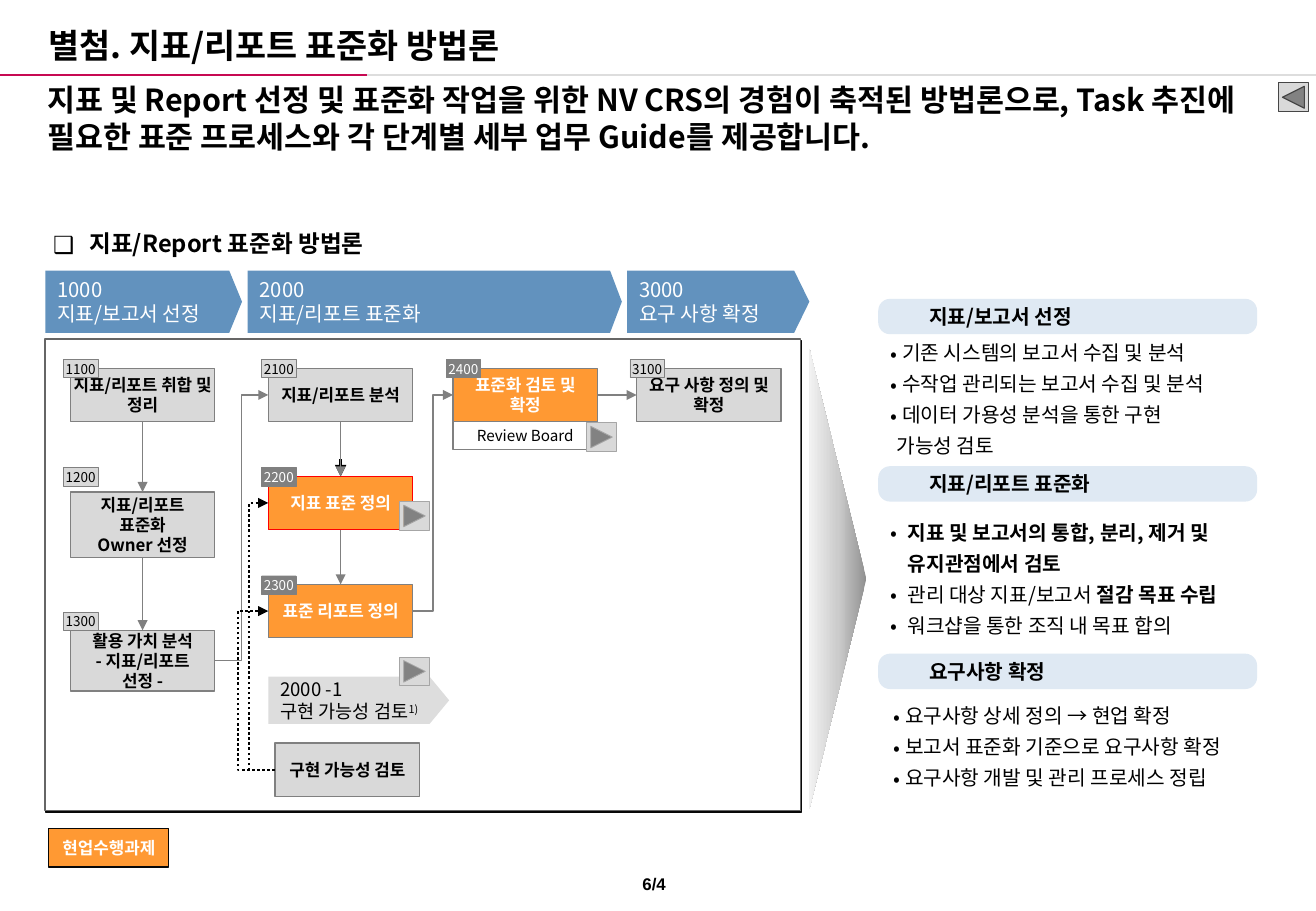
"""Build the slide on the indicator and report standardisation method."""
from copy import deepcopy

from lxml.etree import SubElement
from pptx import Presentation
from pptx.dml.color import RGBColor
from pptx.enum.dml import MSO_LINE
from pptx.enum.shapes import MSO_CONNECTOR, MSO_SHAPE
from pptx.enum.text import MSO_ANCHOR, MSO_AUTO_SIZE, PP_ALIGN
from pptx.oxml.ns import qn
from pptx.util import Cm, Pt

FONT = "Noto Sans CJK KR"
GRAY, MID, ORANGE, BLACK, WHITE = "D9D9D9", "808080", "FF9933", "000000", "FFFFFF"
rgb = RGBColor.from_string

prs = Presentation()
prs.slide_width, prs.slide_height = Cm(27.51), Cm(19.05)
slide = prs.slides.add_slide(prs.slide_layouts[5])
sp = slide.shapes


def box(kind, x, y, w, h, fill=None, line=None, width=0.75, adj=None):
    """Add a preset shape, or a text box when kind is None."""
    pos = Cm(x), Cm(y), Cm(w), Cm(h)
    if kind is None:
        return sp.add_textbox(*pos)
    s = sp.add_shape(kind, *pos)
    s.shadow.inherit = False
    if adj is not None:
        s.adjustments[0] = adj
    if fill:
        s.fill.solid()
        s.fill.fore_color.rgb = rgb(fill)
    if line:
        s.line.color.rgb = rgb(line)
        s.line.width = Pt(width)
    else:
        s.line.fill.background()
    return s


def write(s, lines, size, color=BLACK, bold=False, align=PP_ALIGN.LEFT,
          anchor=MSO_ANCHOR.MIDDLE, ins=(0.25, 0.13), wrap=True, font=FONT):
    """Fill a shape with paragraphs, each a string or a list of (text, bold) runs."""
    tf = s.text_frame
    tf.word_wrap, tf.auto_size, tf.vertical_anchor = wrap, MSO_AUTO_SIZE.NONE, anchor
    tf.margin_left = tf.margin_right = Cm(ins[0])
    tf.margin_top = tf.margin_bottom = Cm(ins[1])
    for i, line in enumerate(lines):
        p = tf.paragraphs[0] if i == 0 else tf.add_paragraph()
        p.alignment = align
        for text, strong in line if isinstance(line, list) else [(line, bold)]:
            r = p.add_run()
            r.text = text
            r.font.size, r.font.bold, r.font.name = Pt(size), strong, font
            r.font.color.rgb = rgb(color)
            SubElement(r.font._element, qn("a:ea")).set("typeface", font)
    return tf


title = sp.title
title.left, title.top, title.width, title.height = Cm(0.76), Cm(0.48), Cm(11.02), Cm(0.94)
write(title, ["별첨. 지표/리포트 표준화 방법론"], 20, bold=True)
write(box(None, 0.74, 1.57, 25.4, 1.73),
      ["지표 및 Report 선정 및 표준화 작업을 위한 NV CRS의 경험이 축적된 방법론으로, Task "
       "추진에 필요한 표준 프로세스와 각 단계별 세부 업무 Guide를 제공합니다."],
      18, bold=True, anchor=MSO_ANCHOR.TOP)
write(box(None, 12.85, 18.14, 1.65, 0.69), ["6/4"], 10, bold=True,
      align=PP_ALIGN.CENTER, anchor=MSO_ANCHOR.TOP, font="Arial")

tf = write(box(None, 0.86, 4.37, 7.44, 1.14), ["지표/Report 표준화 방법론"], 14,
           bold=True, anchor=MSO_ANCHOR.TOP, wrap=False)
p = tf.paragraphs[0]
p.line_spacing, p.space_after = 1.5, Pt(6)
pPr = p._p.get_or_add_pPr()
pPr.set("marL", str(Cm(0.76)))
pPr.set("indent", str(-Cm(0.76)))
SubElement(pPr, qn("a:buFont")).set("typeface", FONT)
SubElement(pPr, qn("a:buChar")).set("char", "❑")

for x, y, line in [(0.95, 7.12, "080808"), (0.94, 7.09, "666666")]:
    box(MSO_SHAPE.RECTANGLE, x, y, 15.8, 9.86, WHITE, line)

phases = [
    (0.95, 4.11, 0.205, ["1000", "지표/보고서 선정"]),
    (5.18, 7.82, 0.189, ["2000", "지표/리포트 표준화"]),
    (13.11, 3.81, 0.244, ["3000", "요구 사항 확정"]),
]
for x, w, adj, lines in phases:
    s = box(MSO_SHAPE.PENTAGON, x, 5.66, w, 1.3, "6292BE", adj=adj)
    write(s, lines, 12, WHITE, wrap=False)

steps = [
    ("1100", 1.47, 7.7, 1.12, 7.52, GRAY, ["지표/리포트 취합 및 정리"]),
    ("3100", 13.31, 7.7, 1.12, 7.52, GRAY, ["요구 사항 정의 및", "확정"]),
    ("2400", 9.47, 7.7, 1.12, 7.52, ORANGE, ["표준화 검토 및", "확정"]),
    ("2100", 5.61, 7.7, 1.12, 7.52, GRAY, ["지표/리포트 분석"]),
    ("1200", 1.47, 10.29, 1.37, 9.78, GRAY, ["지표/리포트", "표준화", "Owner 선정"]),
    ("2200", 5.61, 9.96, 1.12, 9.78, ORANGE, ["지표 표준 정의"]),
    ("1300", 1.47, 13.18, 1.27, 12.8, GRAY, ["활용 가치 분석", "- 지표/리포트", "선정 -"]),
    ("2300", 5.61, 12.22, 1.12, 12.04, ORANGE, ["표준 리포트 정의"]),
    ("", 5.75, 15.54, 1.12, None, GRAY, ["구현 가능성 검토"]),
]
boxes = {}
for code, x, y, h, tag_y, fill, lines in steps:
    color, tag_fill = (WHITE, MID) if fill == ORANGE else (BLACK, GRAY)
    s = box(MSO_SHAPE.RECTANGLE, x, y, 3.02, h, fill, "FF0000" if code == "2200" else MID)
    write(s, lines, 10, color, True, PP_ALIGN.CENTER, ins=(0, 0))
    boxes[code] = s
    if code:
        tag = box(MSO_SHAPE.RECTANGLE, x - 0.14, tag_y, 0.72, 0.38, tag_fill, MID, 0.25)
        write(tag, [code], 8, color, align=PP_ALIGN.CENTER, ins=(0, 0), wrap=False)

board = box(MSO_SHAPE.RECTANGLE, 9.47, 8.82, 3.02, 0.58, WHITE, MID)
write(board, ["Review Board"], 9, align=PP_ALIGN.CENTER, ins=(0, 0))
legend = box(MSO_SHAPE.RECTANGLE, 1.02, 17.32, 2.51, 0.81, ORANGE, "080808")
write(legend, ["현업수행과제"], 10, WHITE, True, PP_ALIGN.CENTER, ins=(0.1, 0.1))

check = box(MSO_SHAPE.PENTAGON, 5.61, 14.15, 3.78, 0.99, "DDDDDD", adj=0.414)
tf = write(check, ["2000 -1", [("구현 가능성 검토", False), ("1)", False)]], 11, wrap=False)
tf.paragraphs[1].runs[1].font._element.set("baseline", "30000")

connectors = []
for x1, x2, color in [(0, 7.67, "C70952"), (7.67, 27.51, "DDDDDD")]:
    c = sp.add_connector(MSO_CONNECTOR.STRAIGHT, Cm(x1), Cm(1.57), Cm(x2), Cm(1.57))
    c.line.color.rgb, c.line.width = rgb(color), Pt(1.5)
    connectors.append(c)

STRAIGHT, ELBOW = MSO_CONNECTOR.STRAIGHT, MSO_CONNECTOR.ELBOW
arrows = [
    (STRAIGHT, "1100", 2, "1200", 0, MID, 1, None),
    (STRAIGHT, "1200", 2, "1300", 0, MID, 1, None),
    (STRAIGHT, None, 2, "2200", 0, BLACK, 2.25, None),
    (STRAIGHT, "2100", 2, "2200", 0, MID, 1, None),
    (STRAIGHT, "2200", 2, "2300", 0, MID, 1, None),
    (STRAIGHT, "2400", 3, "3100", 1, MID, 1, None),
    (ELBOW, "2300", 3, "2400", 1, MID, 1, None),
    (ELBOW, "1300", 3, "2100", 1, MID, 1, None),
    (ELBOW, "", 1, "2300", 1, BLACK, 1.5, 4.98),
    (ELBOW, "", 1, "2200", 1, BLACK, 1.5, 5.21),
]
for kind, start, side, end, end_side, color, width, lane in arrows:
    c = sp.add_connector(kind, Cm(7.12), Cm(9.6), Cm(7.12), Cm(9.96))
    if start is not None:
        c.begin_connect(boxes[start], side)
    c.end_connect(boxes[end], end_side)
    c.line.color.rgb, c.line.width = rgb(color), Pt(width)
    if lane:
        c.line.dash_style = MSO_LINE.ROUND_DOT
        bend = round(100000 * (c.begin_x - Cm(lane)) / (c.begin_x - c.end_x))
        geom = c._element.spPr.find(qn("a:prstGeom"))
        gd = SubElement(geom.get_or_add_avLst(), qn("a:gd"))
        gd.set("name", "adj1")
        gd.set("fmla", f"val {bend}")
    SubElement(c.line._get_or_add_ln(), qn("a:tailEnd")).set("type", "triangle")
    connectors.append(c)
for c in connectors:
    SubElement(c._element.spPr, qn("a:effectLst"))

sections = [
    (6.25, "지표/보고서 선정", 18.36, 6.99, 0.25, [
        (0.25, "기존 시스템의 보고서 수집 및 분석"),
        (0.25, "수작업 관리되는 보고서 수집 및 분석"),
        (0.25, "데이터 가용성 분석을 통한 구현"),
        (0.13, "가능성 검토")]),
    (9.75, "지표/리포트 표준화", 18.36, 10.74, 0.36, [
        (0.36, [("지표 및 보고서의 통합, 분리, 제거 및", True)]),
        (0.37, [("유지관점에서 검토", True)]),
        (0.36, [("관리 대상 지표/보고서 ", False), ("절감 목표 수립", True)]),
        (0.36, "워크샵을 통한 조직 내 목표 합의")]),
    (13.67, "요구사항 확정", 18.42, 14.58, 0.25, [
        (0.25, "요구사항 상세 정의 → 현업 확정"),
        (0.25, "보고서 표준화 기준으로 요구사항 확정"),
        (0.25, "요구사항 개발 및 관리 프로세스 정립")]),
]
for y, heading, x, text_y, hang, items in sections:
    s = box(MSO_SHAPE.ROUNDED_RECTANGLE, 18.36, y, 7.92, 0.74, "DFE9F3", adj=0.335)
    write(s, [heading], 12, bold=True, ins=(0.99, 0.13))
    tf = write(box(None, x, text_y, 8.31, 0.69 * len(items)),
               [line for _, line in items], 12, anchor=MSO_ANCHOR.TOP)
    for p, (indent, _) in zip(tf.paragraphs, items):
        p.space_before = Pt(4)
        pPr = p._p.get_or_add_pPr()
        pPr.set("marL", str(Cm(indent)))
        if indent == hang:
            pPr.set("indent", str(-Cm(indent)))
            SubElement(pPr, qn("a:buFont")).set("typeface", FONT)
            SubElement(pPr, qn("a:buChar")).set("char", "•")

s = box(MSO_SHAPE.ISOSCELES_TRIANGLE, 12.7, 11.51, 9.63, 1.19)
s.rotation = 90
s.fill.gradient()
s.fill.gradient_angle = 270
stops = s._element.spPr.find(qn("a:gradFill")).find(qn("a:gsLst"))
stops.append(deepcopy(stops[0]))
for stop, (at, color) in zip(s.fill.gradient_stops,
                             [(0, "909090"), (0.5, "CCCCCC"), (1, "F2F2F2")]):
    stop.position, stop.color.rgb = at, rgb(color)

box(MSO_SHAPE.ACTION_BUTTON_BACK_OR_PREVIOUS, 26.72, 1.73, 0.64, 0.61, GRAY, "464646")
for x, y in [(8.36, 10.49), (12.27, 8.84), (8.36, 13.74)]:
    box(MSO_SHAPE.ACTION_BUTTON_FORWARD_OR_NEXT, x, y, 0.61, 0.6, GRAY, "A6A6A6", 0.5)

prs.save("out.pptx")
